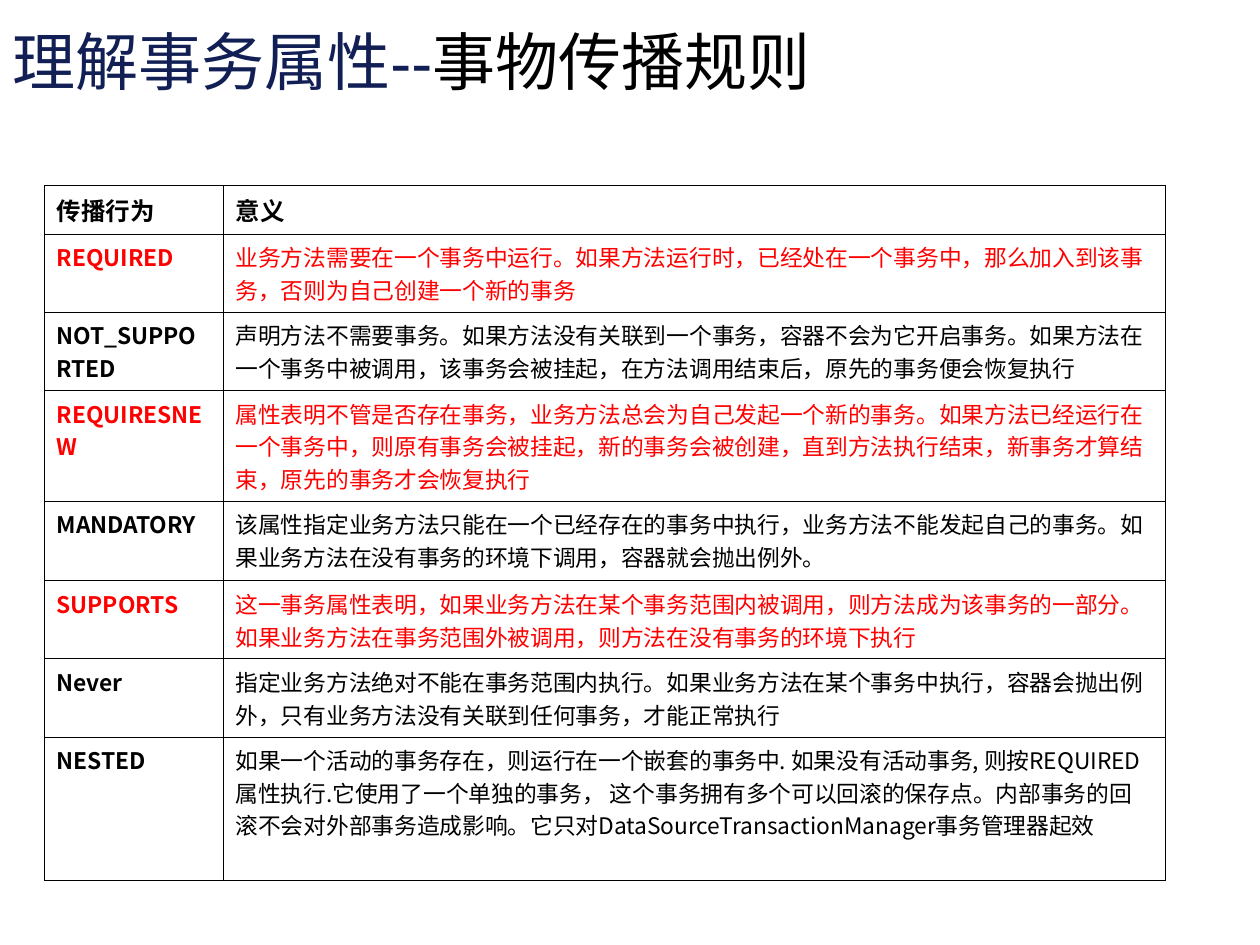
from typing import NamedTuple

from lxml import etree
from pptx import Presentation
from pptx import util as u
from pptx.dml.color import RGBColor
from pptx.enum import text
from pptx.oxml.ns import qn

NAVY, BLACK, RED = "121F55", "000000", "FF0000"
LATIN, CJK = "Arial", "Noto Sans CJK SC"
COLUMN_WIDTHS = (1.42, 7.48)


class Rule(NamedTuple):
    behavior: str
    meaning: str
    height: float
    color: str = BLACK
    space_after: float = 0


HEADER = Rule("传播行为", "意义", 0.39)
RULES = (
    Rule("REQUIRED",
         "业务方法需要在一个事务中运行。如果方法运行时，已经处在一个事务中，"
         "那么加入到该事务，否则为自己创建一个新的事务", 0.62, RED),
    Rule("NOT_SUPPORTED",
         "声明方法不需要事务。如果方法没有关联到一个事务，容器不会为它开启事务。"
         "如果方法在一个事务中被调用，该事务会被挂起，在方法调用结束后，"
         "原先的事务便会恢复执行", 0.62),
    Rule("REQUIRESNEW",
         "属性表明不管是否存在事务，业务方法总会为自己发起一个新的事务。"
         "如果方法已经运行在一个事务中，则原有事务会被挂起，新的事务会被创建，"
         "直到方法执行结束，新事务才算结束，原先的事务才会恢复执行", 0.88, RED),
    Rule("MANDATORY",
         "该属性指定业务方法只能在一个已经存在的事务中执行，"
         "业务方法不能发起自己的事务。如果业务方法在没有事务的环境下调用，"
         "容器就会抛出例外。", 0.63, space_after=3.3),
    Rule("SUPPORTS",
         "这一事务属性表明，如果业务方法在某个事务范围内被调用，"
         "则方法成为该事务的一部分。如果业务方法在事务范围外被调用，"
         "则方法在没有事务的环境下执行", 0.62, RED),
    Rule("Never",
         "指定业务方法绝对不能在事务范围内执行。如果业务方法在某个事务中执行，"
         "容器会抛出例外，只有业务方法没有关联到任何事务，才能正常执行", 0.62),
    Rule("NESTED",
         "如果一个活动的事务存在，则运行在一个嵌套的事务中. 如果没有活动事务, "
         "则按REQUIRED属性执行.它使用了一个单独的事务， "
         "这个事务拥有多个可以回滚的保存点。内部事务的回滚不会对外部事务造成影响。"
         "它只对DataSourceTransactionManager事务管理器起效", 1.14),
)


def set_color(font, color: str) -> None:
    font.color.rgb = RGBColor.from_string(color)


def add_borders(cell, color: str = BLACK, width: float = 0.45) -> None:
    properties = cell._tc.get_or_add_tcPr()
    for position, side in enumerate(("lnL", "lnR", "lnT", "lnB")):
        line = etree.Element(qn(f"a:{side}"), w=str(u.Pt(width)))
        fill = etree.SubElement(line, qn("a:solidFill"))
        etree.SubElement(fill, qn("a:srgbClr"), val=color)
        properties.insert(position, line)


def fill_cell(cell, content: str, rule: Rule, bold: bool) -> None:
    is_header = rule is HEADER
    cell.fill.background()
    add_borders(cell)
    cell.text = content
    paragraph = cell.text_frame.paragraphs[0]
    paragraph.space_before = u.Pt(3.5 if is_header else 3.3)
    paragraph.space_after = u.Pt(rule.space_after)
    font = paragraph.font
    font.name = LATIN if is_header else CJK
    font.size = u.Pt(14 if is_header else 13)
    font.bold = bold
    set_color(font, rule.color)


def add_title(slide) -> None:
    box = slide.shapes.add_textbox(u.Inches(0), u.Inches(0.08), u.Inches(10), u.Inches(0.79))
    frame = box.text_frame
    frame.word_wrap = True
    frame.vertical_anchor = text.MSO_ANCHOR.MIDDLE
    paragraph = frame.paragraphs[0]
    paragraph.font.name = LATIN
    paragraph.font.size = u.Pt(36)
    for words, color in (("理解事务属性--", NAVY), ("事物传播规则", BLACK)):
        run = paragraph.add_run()
        run.text = words
        set_color(run.font, color)


def add_rules_table(slide) -> None:
    rows = (HEADER, *RULES)
    table = slide.shapes.add_table(
        len(rows), len(COLUMN_WIDTHS), u.Inches(0.35), u.Inches(1.47),
        u.Inches(sum(COLUMN_WIDTHS)), u.Inches(sum(rule.height for rule in rows))).table
    table.first_row = table.horz_banding = False
    for column, width in zip(table.columns, COLUMN_WIDTHS):
        column.width = u.Inches(width)
    for index, rule in enumerate(rows):
        table.rows[index].height = u.Inches(rule.height)
        fill_cell(table.cell(index, 0), rule.behavior, rule, bold=True)
        fill_cell(table.cell(index, 1), rule.meaning, rule, bold=rule is HEADER)


def main() -> None:
    deck = Presentation()
    deck.slide_width, deck.slide_height = u.Inches(10), u.Inches(7.5)
    slide = deck.slides.add_slide(deck.slide_layouts[6])
    add_title(slide)
    add_rules_table(slide)
    deck.save("out.pptx")


if __name__ == "__main__":
    main()
